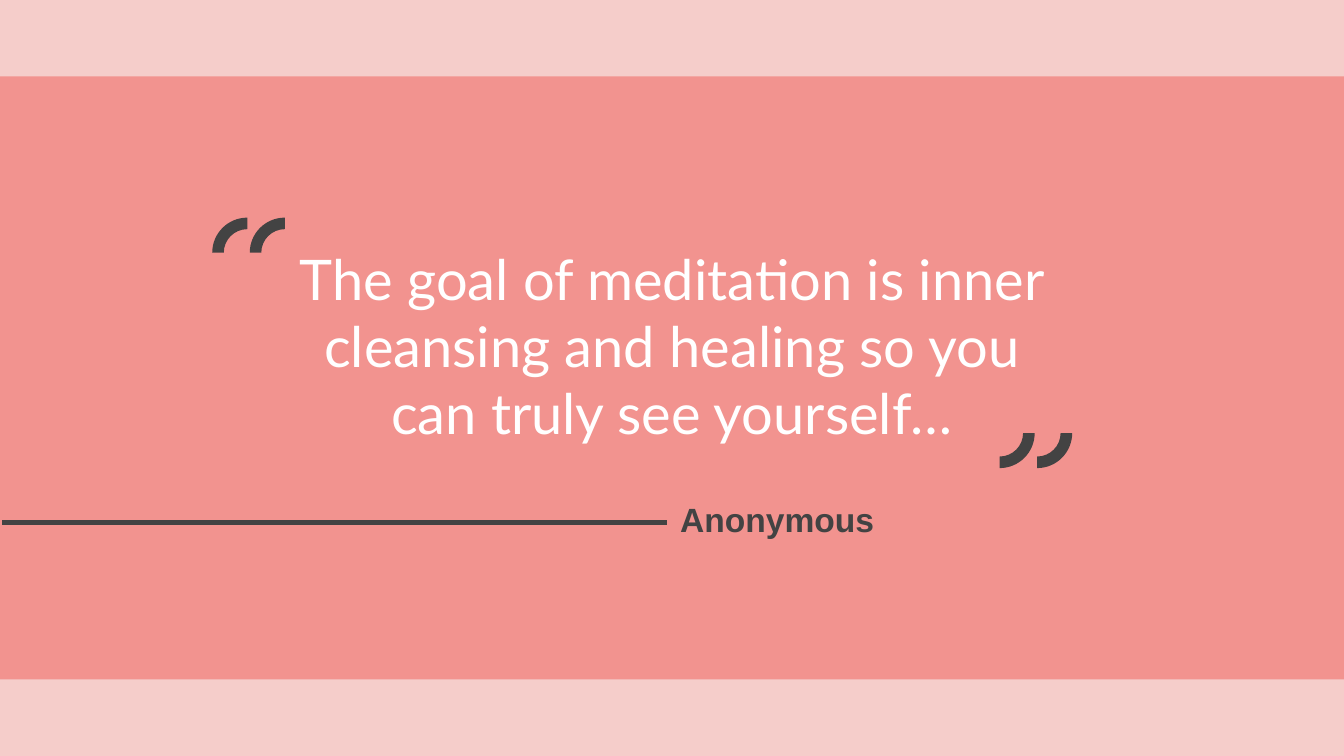
from math import cos, radians, sin

from lxml import etree
from pptx import Presentation
from pptx.dml.color import RGBColor
from pptx.enum.shapes import MSO_CONNECTOR, MSO_SHAPE
from pptx.enum.text import MSO_ANCHOR as ANCHOR, PP_ALIGN as ALIGN
from pptx.oxml.ns import qn
from pptx.util import Pt

# Content
QUOTE = ("The goal of meditation is inner cleansing and healing "
         "so you can truly see yourself…")
AUTHOR = "Anonymous"

# Layout and colours
W, H, BAND_H = 720, 405, 41
ROSE, BLUSH, DARK, WHITE = "F2938F", "F5CDCA", "434343", "FFFFFF"
QUOTE_BOX = (145.4, 123.8, 429.2, 120.2)
AUTHOR_BOX = (357.3, 259.5, 185, 41)
LINE_START = 1.2
OUTER, INNER, MARK_GAP = 18.8, 12.6, 20.1
ARC = 0.5523  # Bezier handle length for a quarter circle
# centre x and y of the first mark, start angle of its quarter ring
MARKS = [(132.5, 135.4, 180), (535.5, 232, 0)]


def rgb(color):
    return RGBColor.from_string(color)


def paint(sp, color):
    sp.shadow.inherit = False
    sp.fill.solid()
    sp.fill.fore_color.rgb = rgb(color)
    sp.line.fill.background()


def add_text(box, text, font, size, color, bold, align, anchor, spacing):
    sp = s.shapes.add_textbox(*map(Pt, box))
    tf = sp.text_frame
    tf.word_wrap = True
    tf.vertical_anchor = anchor
    tf.margin_left = tf.margin_right = Pt(7.2)
    tf.margin_top = tf.margin_bottom = Pt(7.2)
    tf.text = text
    p = tf.paragraphs[0]
    p.alignment, p.line_spacing = align, spacing
    f = p.runs[0].font
    f.name, f.size, f.bold = font, Pt(size), bold
    f.color.rgb = rgb(color)
    return sp


def add_quarter_ring(cx, cy, start):
    u = (cos(radians(start)), sin(radians(start)))
    v = (-u[1], u[0])

    def at(a, b):
        return Pt(cx + a * u[0] + b * v[0]), Pt(cy + a * u[1] + b * v[1])

    fb = s.shapes.build_freeform(*at(OUTER, 0))
    fb.add_line_segments([at(0, OUTER), at(0, INNER), at(INNER, 0)], close=True)
    sp = fb.convert_to_shape()
    paint(sp, DARK)

    # Bend the outer and inner edges into quarter circles
    edges = list(sp._element.spPr.iter(qn("a:lnTo")))
    k, m = OUTER * ARC, INNER * ARC
    bends = [(edges[0], [at(OUTER, k), at(k, OUTER), at(0, OUTER)]),
             (edges[2], [at(m, INNER), at(INNER, m), at(INNER, 0)])]
    for edge, points in bends:
        curve = etree.Element(qn("a:cubicBezTo"))
        for x, y in points:
            etree.SubElement(curve, qn("a:pt"), x=str(x - sp.left), y=str(y - sp.top))
        edge.getparent().replace(edge, curve)


prs = Presentation()
prs.slide_width, prs.slide_height = Pt(W), Pt(H)
s = prs.slides.add_slide(prs.slide_layouts[6])
s.background.fill.solid()
s.background.fill.fore_color.rgb = rgb(ROSE)

# Top and bottom bands
for top in (0, H - BAND_H):
    paint(s.shapes.add_shape(MSO_SHAPE.RECTANGLE, 0, Pt(top), Pt(W), Pt(BAND_H)), BLUSH)

# Author and quote
author = add_text(AUTHOR_BOX, AUTHOR, "Arial", 18, DARK, True,
                  ALIGN.LEFT, ANCHOR.MIDDLE, 0.8)
add_text(QUOTE_BOX, QUOTE, "Lato", 30, WHITE, False,
         ALIGN.CENTER, ANCHOR.TOP, 1.0)

# Line leading to the author
left, top, _, height = AUTHOR_BOX
mid = Pt(top + height / 2)
line = s.shapes.add_connector(MSO_CONNECTOR.STRAIGHT, Pt(left), mid, Pt(LINE_START), mid)
line.begin_connect(author, 1)
line.line.color.rgb = rgb(DARK)
line.line.width = Pt(3)
etree.SubElement(line._element.spPr, qn("a:effectLst"))

# Quotation marks
for cx, cy, start in MARKS:
    for i in range(2):
        add_quarter_ring(cx + i * MARK_GAP, cy, start)

prs.save("out.pptx")
